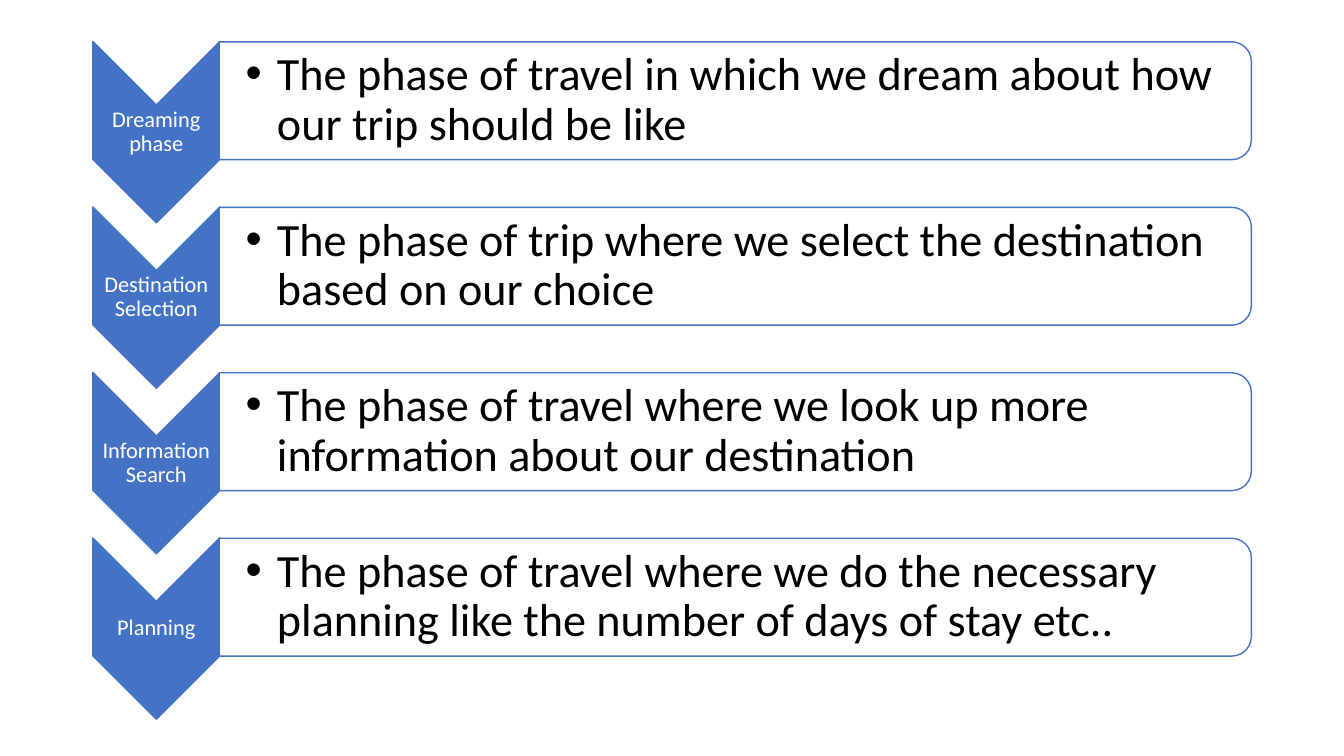
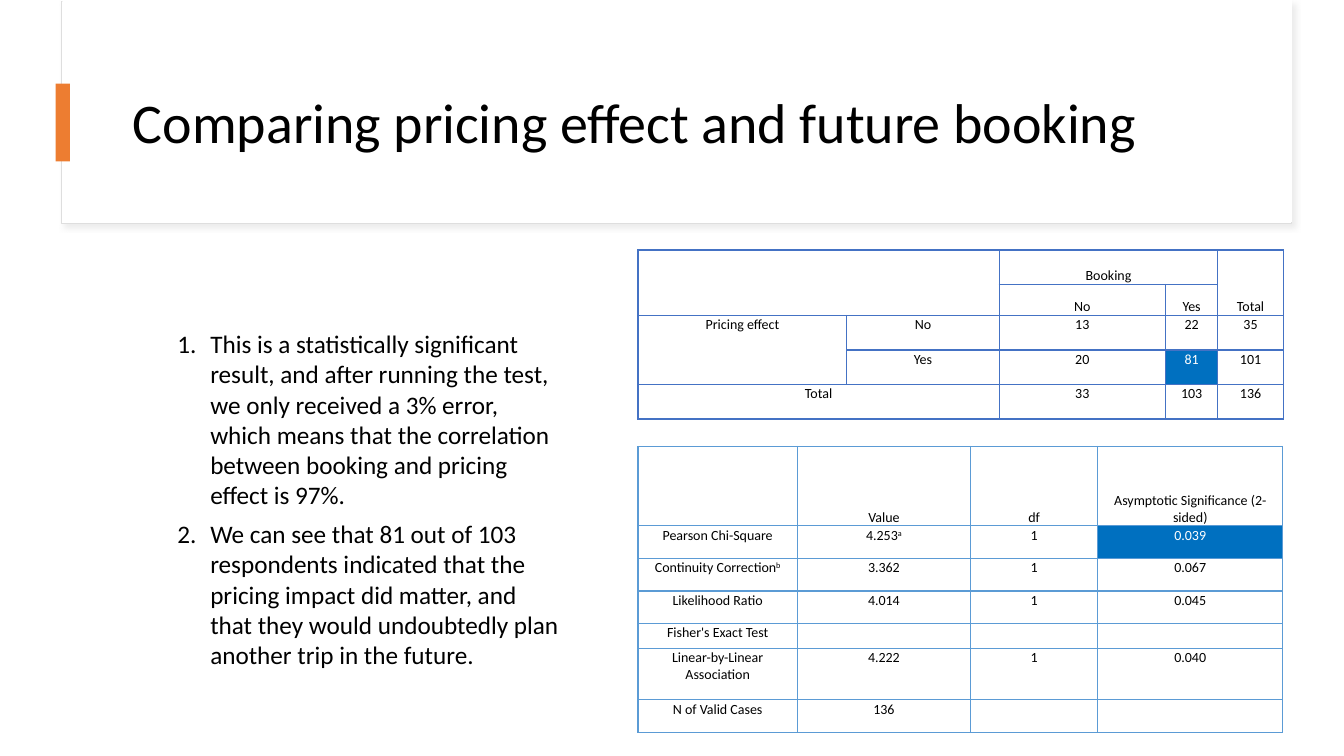
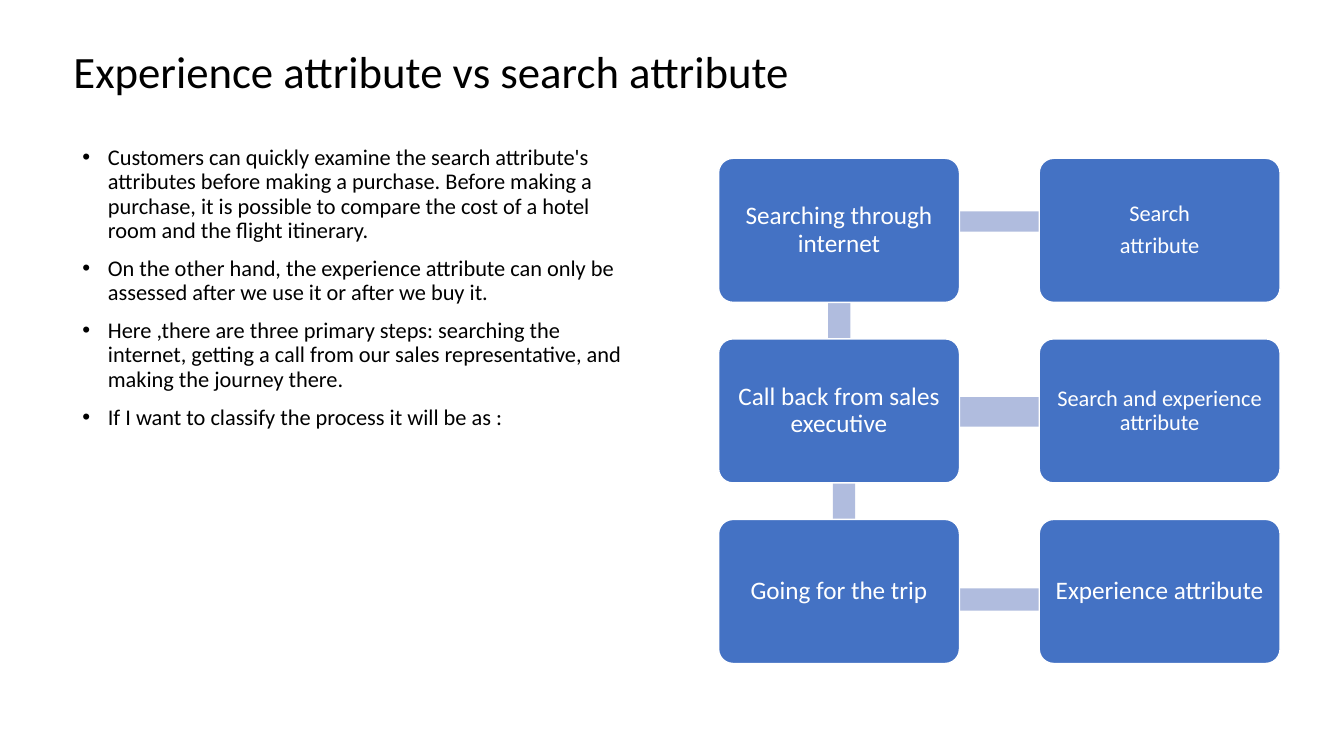
from lxml import etree
from pptx import Presentation
from pptx.dml.color import RGBColor
from pptx.enum import shapes as sh, text as tx
from pptx.oxml.ns import qn
from pptx.util import Cm, Pt

FONT = "Calibri"
BLACK = RGBColor(0x00, 0x00, 0x00)
WHITE = RGBColor(0xFF, 0xFF, 0xFF)
BLUE = RGBColor(0x44, 0x72, 0xC4)
SKY = RGBColor(0x5B, 0x9B, 0xD5)
MARK = RGBColor(0x00, 0x70, 0xC0)
ORANGE = RGBColor(0xED, 0x7D, 0x31)
LILAC = RGBColor(0xB0, 0xBC, 0xDE)
GREY = RGBColor(0xDE, 0xDE, 0xDE)
SHADOW = RGBColor(0xD9, 0xD9, 0xD9)

RECT = sh.MSO_SHAPE.RECTANGLE
TOP, MIDDLE, BOTTOM = tx.MSO_ANCHOR.TOP, tx.MSO_ANCHOR.MIDDLE, tx.MSO_ANCHOR.BOTTOM
CENTER = {"alignment": tx.PP_ALIGN.CENTER}
LABEL = {**CENTER, "line_spacing": 0.9}

PHASES = [
    ("Dreaming phase",
     "The phase of travel in which we dream about how our trip should be like"),
    ("Destination Selection",
     "The phase of trip where we select the destination based on our choice"),
    ("Information Search",
     "The phase of travel where we look up more information about our destination"),
    ("Planning",
     "The phase of travel where we do the necessary planning like the number of "
     "days of stay etc.."),
]

FINDINGS = [
    "This is a statistically significant result, and after running the test, we only "
    "received a 3% error, which means that the correlation between booking and pricing "
    "effect is 97%.",
    "We can see that 81 out of 103 respondents indicated that the pricing impact did "
    "matter, and that they would undoubtedly plan another trip in the future.",
]

CROSSTAB = [
    ["", "", "Booking", "", "Total"],
    ["", "", "No", "Yes", ""],
    ["Pricing effect", "No", "13", "22", "35"],
    ["", "Yes", "20", "81", "101"],
    ["Total", "", "33", "103", "136"],
]
CROSSTAB_SPANS = [(0, 0, 1, 1), (0, 2, 0, 3), (0, 4, 1, 4), (2, 0, 3, 0), (4, 0, 4, 1)]

CHI_TESTS = [
    ["", "Value", "df", "Asymptotic Significance (2-sided)"],
    ["Pearson Chi-Square", "4.253^a", "1", "0.039"],
    ["Continuity Correction^b", "3.362", "1", "0.067"],
    ["Likelihood Ratio", "4.014", "1", "0.045"],
    ["Fisher's Exact Test", "", "", ""],
    ["Linear-by-Linear Association", "4.222", "1", "0.040"],
    ["N of Valid Cases", "136", "", ""],
]

ATTRIBUTES = [
    "Customers can quickly examine the search attribute's attributes before making a "
    "purchase. Before making a purchase, it is possible to compare the cost of a hotel "
    "room and the flight itinerary.",
    "On the other hand, the experience attribute can only be assessed after we use it or "
    "after we buy it.",
    "Here ,there are three primary steps: searching the internet, getting a call from our "
    "sales representative, and making the journey there.",
    "If I want to classify the process it will be as :",
]

STEPS = [
    (["Searching through internet"], 18, ["Search", "attribute"], 16),
    (["Call back from sales executive"], 18, ["Search and experience attribute"], 16),
    (["Going for the trip"], 18, ["Experience attribute"], 18),
]
LINKS = [
    (20.87, 5.04, 0.56, 4.5),
    (20.99, 9.54, 0.56, 4.5),
    (19.63, 14.83, 8.03, 0.56),
    (24.1, 10.01, 3.76, 0.74),
    (24.18, 5.33, 2.49, 0.51),
]


def apply(obj, fmt):
    for name, value in fmt.items():
        setattr(obj, name, value)


def add_run(p, content, size, color):
    r = p.add_run()
    r.text = content
    apply(r.font, {"name": FONT, "size": Pt(size)})
    r.font.color.rgb = color
    return r


def set_frame(tf, anchor=TOP, insets=(0.25, 0.13, 0.25, 0.13)):
    sides = ("margin_left", "margin_top", "margin_right", "margin_bottom")
    apply(tf, {"word_wrap": True, "vertical_anchor": anchor,
               "auto_size": tx.MSO_AUTO_SIZE.NONE})
    apply(tf, {side: Cm(v) for side, v in zip(sides, insets)})


def set_bullet(p, indent, numbered):
    pPr = p._p.get_or_add_pPr()
    pPr.set("marL", str(Cm(indent)))
    pPr.set("indent", str(-Cm(indent)))
    if numbered:
        etree.SubElement(pPr, qn("a:buAutoNum"), type="arabicPeriod")
    else:
        etree.SubElement(pPr, qn("a:buFont"), typeface="Arial")
        etree.SubElement(pPr, qn("a:buChar"), char="•")


def write(tf, lines, size, color, fmt, indent=0, numbered=False):
    for i, line in enumerate(lines):
        p = tf.add_paragraph() if i else tf.paragraphs[0]
        apply(p, fmt)
        if indent:
            set_bullet(p, indent, numbered)
        add_run(p, line, size, color)


def add_text(s, box, lines, size, color, fmt, anchor=TOP,
             insets=(0.25, 0.13, 0.25, 0.13), **bullet):
    tf = s.shapes.add_textbox(*map(Cm, box)).text_frame
    set_frame(tf, anchor, insets)
    write(tf, lines, size, color, fmt, **bullet)


def add_box(s, kind, box, fill, line=None, weight=1):
    sp = s.shapes.add_shape(kind, *map(Cm, box))
    sp.shadow.inherit = False
    sp.fill.solid()
    sp.fill.fore_color.rgb = fill
    if line is None:
        sp.line.fill.background()
    else:
        sp.line.color.rgb = line
        sp.line.width = Pt(weight)
    return sp


def add_turned(s, kind, cx, cy, w, h, fill):
    sp = add_box(s, kind, (cx - w / 2, cy - h / 2, w, h), fill, BLUE)
    sp.rotation = 90


def add_title(s, content, box, size, anchor, spacing):
    sp = s.shapes.title
    apply(sp, dict(zip(("left", "top", "width", "height"), map(Cm, box))))
    set_frame(sp.text_frame, anchor)
    write(sp.text_frame, [content], size, BLACK,
          {"alignment": tx.PP_ALIGN.LEFT, "line_spacing": spacing})
    s.shapes._spTree.append(sp._element)


def add_band(s):
    band = add_box(s, RECT, (1.55, 0.03, 31.01, 5.61), WHITE, GREY, 0.75)
    effects = band._element.spPr.find(qn("a:effectLst"))
    shadow = etree.SubElement(effects, qn("a:outerShdw"), blurRad=str(Pt(4)),
                              dist=str(Pt(3)), dir="2700000")
    color = etree.SubElement(shadow, qn("a:srgbClr"), val=str(SHADOW))
    etree.SubElement(color, qn("a:alpha"), val="50000")
    add_box(s, RECT, (1.57, 0, 30.99, 5.59), WHITE)


def set_borders(cell, color):
    tcPr = cell._tc.get_or_add_tcPr()
    for i, side in enumerate(("a:lnL", "a:lnR", "a:lnT", "a:lnB")):
        ln = etree.Element(qn(side), w=str(Pt(1)))
        fill = etree.SubElement(ln, qn("a:solidFill"))
        etree.SubElement(fill, qn("a:srgbClr"), val=str(color))
        tcPr.insert(i, ln)


def fill_cell(cell, content, anchor, marked, border):
    apply(cell, {"margin_left": Cm(0.03), "margin_top": Cm(0.03),
                 "margin_right": Cm(0.03), "margin_bottom": 0,
                 "vertical_anchor": anchor})
    p = cell.text_frame.paragraphs[0]
    apply(p, CENTER)
    base, _, note = content.partition("^")
    color = WHITE if marked else BLACK
    if base:
        add_run(p, base, 10, color)
    else:
        etree.SubElement(p._p, qn("a:endParaRPr"), sz="1000")
    if note:
        r = add_run(p, note, 10, color)
        r.font._element.set("baseline", "30000")
    if marked:
        cell.fill.solid()
        cell.fill.fore_color.rgb = MARK
    else:
        cell.fill.background()
    set_borders(cell, border)


def add_grid(s, left, top, cols, rows, data, border, heads, marked, spans=()):
    frame = s.shapes.add_table(len(rows), len(cols), Cm(left), Cm(top),
                               Cm(sum(cols)), Cm(sum(rows)))
    table = frame.table
    apply(table, {"first_row": False, "horz_banding": False})
    for col, w in zip(table.columns, cols):
        col.width = Cm(w)
    for row, h in zip(table.rows, rows):
        row.height = Cm(h)
    for i, line in enumerate(data):
        for j, content in enumerate(line):
            fill_cell(table.cell(i, j), content, BOTTOM if i < heads else TOP,
                      (i, j) == marked, border)
    for r0, c0, r1, c1 in spans:
        table.cell(r0, c0).merge(table.cell(r1, c1))


def phases_slide(prs):
    s = prs.slides.add_slide(prs.slide_layouts[6])
    for i, (name, meaning) in enumerate(PHASES):
        y = i * 4.17
        add_turned(s, sh.MSO_SHAPE.CHEVRON, 3.94, y + 3.33, 4.57, 3.2, BLUE)
        add_text(s, (2.34, y + 2.64, 3.2, 1.37), [name], 16, WHITE, LABEL,
                 MIDDLE, (0.03,) * 4)
        add_turned(s, sh.MSO_SHAPE.ROUND_2_SAME_RECTANGLE, 18.53, y + 2.54,
                   2.97, 26.01, WHITE)
        add_text(s, (5.53, y + 1.19, 25.86, 2.69), [meaning], 33, BLACK,
                 {"line_spacing": 0.9}, MIDDLE, (0.66, 0.05, 0.05, 0.05), indent=0.79)


def pricing_slide(prs):
    s = prs.slides.add_slide(prs.slide_layouts[5])
    add_band(s)
    add_title(s, "Comparing pricing effect and future booking",
              (3.1, 1.52, 28.24, 3.28), 40, MIDDLE, 0.9)
    add_box(s, RECT, (1.4, 2.11, 0.36, 1.96), ORANGE)
    add_grid(s, 16.08, 6.3, (5.26, 3.84, 4.19, 1.32, 1.65),
             (0.87, 0.78, 0.87, 0.87, 0.87), CROSSTAB, BLUE, 2, (3, 3), CROSSTAB_SPANS)
    add_text(s, (4.22, 8.15, 10.24, 8.94), FINDINGS, 18, BLACK,
             {"space_after": Pt(6)}, indent=0.83, numbered=True)
    add_grid(s, 16.08, 11.25, (4.01, 4.37, 3.2, 4.67),
             (2, 0.82, 0.82, 0.82, 0.63, 1.29, 0.82), CHI_TESTS, SKY, 1, (1, 3))


def attributes_slide(prs):
    s = prs.slides.add_slide(prs.slide_layouts[5])
    add_text(s, (1.83, 3.56, 14.55, 13.59), ATTRIBUTES, 16, BLACK,
             {"line_spacing": 0.9, "space_before": Pt(10)}, indent=0.64)
    add_title(s, "Experience attribute vs search attribute",
              (1.6, 0.97, 29.77, 3), 32, TOP, 1.0)
    for link in LINKS:
        add_box(s, RECT, link, LILAC)
    for i, (step, step_size, kind, kind_size) in enumerate(STEPS):
        for j, (lines, size) in enumerate(((step, step_size), (kind, kind_size))):
            sp = add_box(s, sh.MSO_SHAPE.ROUNDED_RECTANGLE,
                         (18.11 + j * 8.08, 3.99 + i * 4.55, 6.07, 3.63), BLUE, WHITE)
            sp.adjustments[0] = 0.1
            set_frame(sp.text_frame, MIDDLE, (0.28,) * 4)
            write(sp.text_frame, lines, size, WHITE,
                  {**LABEL, "space_after": Pt(0.35 * size)})


def main():
    prs = Presentation()
    apply(prs, {"slide_width": Cm(33.87), "slide_height": Cm(19.05)})
    phases_slide(prs)
    pricing_slide(prs)
    attributes_slide(prs)
    prs.save("out.pptx")


if __name__ == "__main__":
    main()
